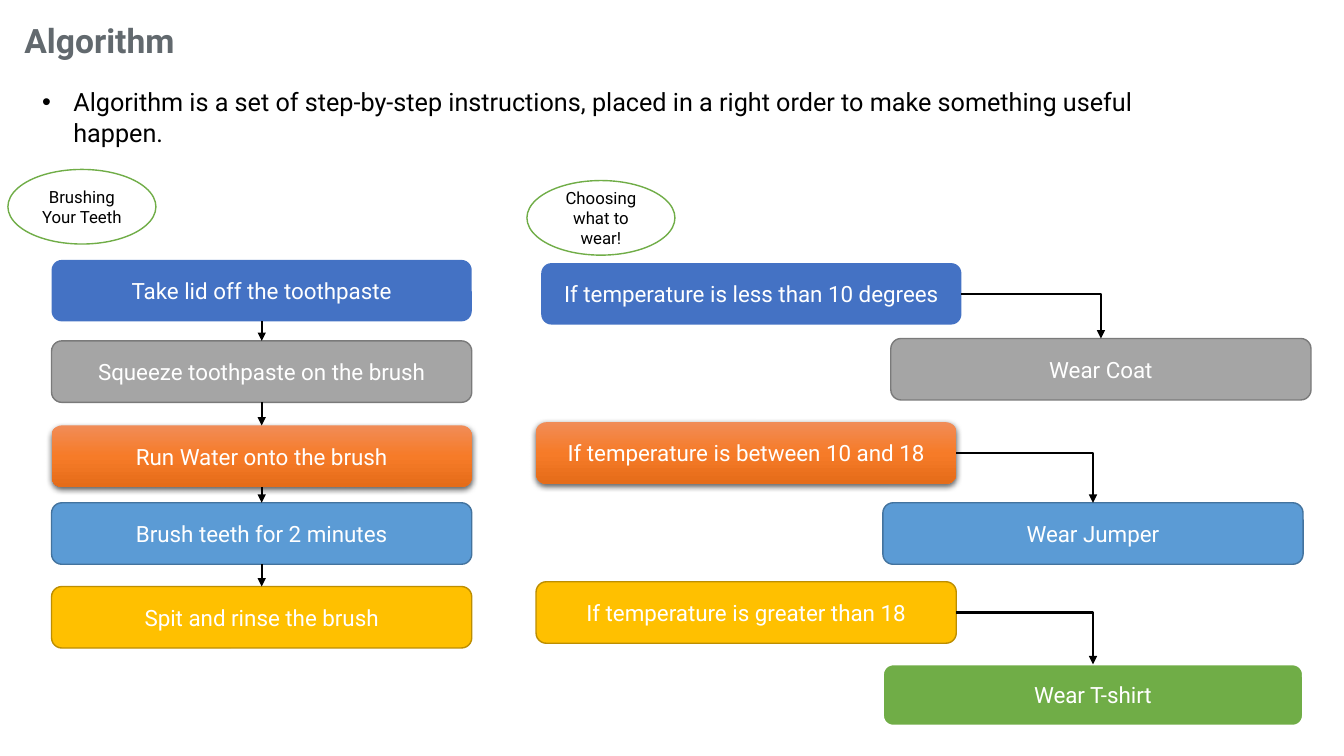
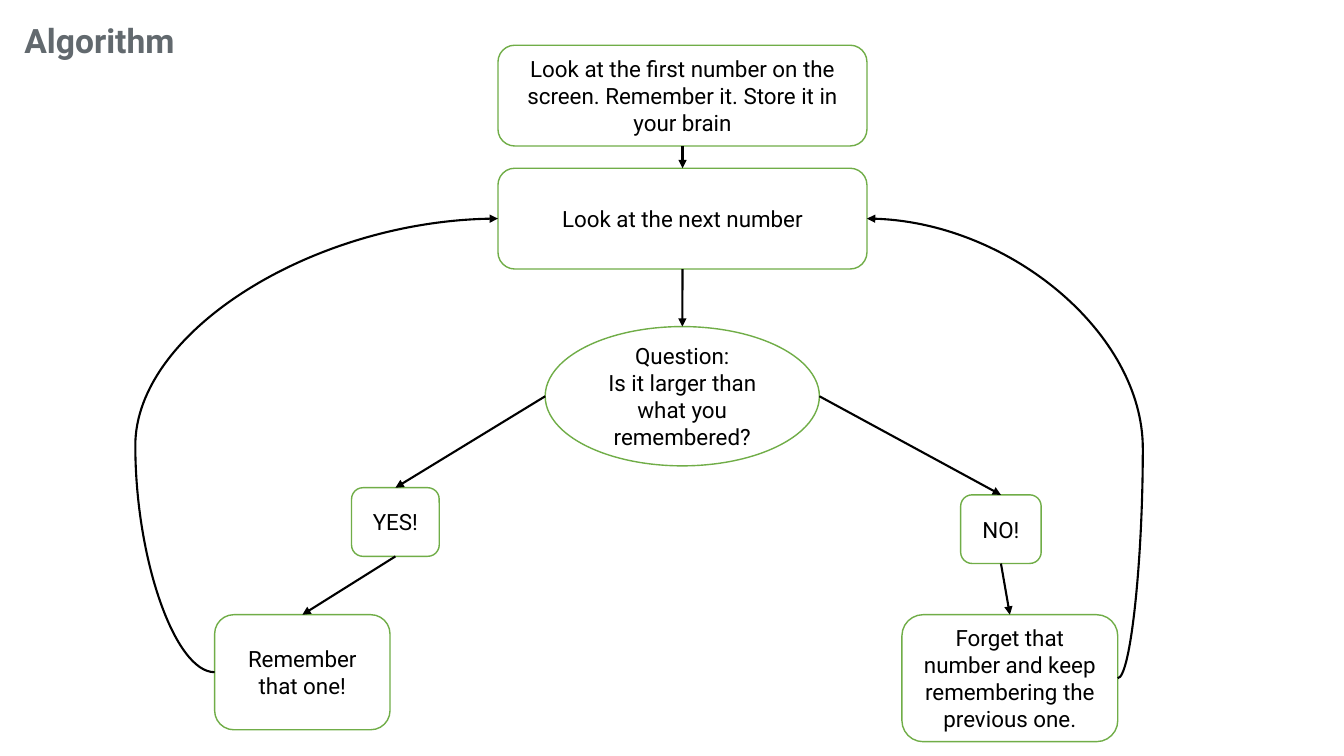
from copy import deepcopy

from lxml import etree
from pptx import Presentation
from pptx.dml.color import RGBColor
from pptx.enum.shapes import MSO_CONNECTOR, MSO_SHAPE
from pptx.enum.text import MSO_ANCHOR, MSO_AUTO_SIZE, PP_ALIGN
from pptx.oxml.ns import qn
from pptx.util import Cm, Pt

ROUND, OVAL = MSO_SHAPE.ROUNDED_RECTANGLE, MSO_SHAPE.OVAL
STRAIGHT, ELBOW, CURVE = MSO_CONNECTOR.STRAIGHT, MSO_CONNECTOR.ELBOW, MSO_CONNECTOR.CURVE
LEFT, CENTER = PP_ALIGN.LEFT, PP_ALIGN.CENTER
TOP, MIDDLE = MSO_ANCHOR.TOP, MSO_ANCHOR.MIDDLE
NO_FIT = MSO_AUTO_SIZE.NONE

FONT = "Roboto"
BLACK, WHITE, TITLE_GREY, GREEN = "000000", "FFFFFF", "62696E", "70AD47"
BLUE = {"fill": "4472C4"}
GREY = {"fill": "A5A5A5", "line": "7A7A7A"}
ORANGE = {"fill": ("F18C57", "F67B28", "E56C19"), "shadow": True}
SKY = {"fill": "5B9BD5", "line": "43739E"}
YELLOW = {"fill": "FFC000", "line": "BD8E00"}
LEAF = {"fill": GREEN, "line": WHITE, "line_width": 1.5}
OUTLINE = {"fill": WHITE, "line": GREEN, "color": BLACK}

SIDES = {"top": (0, 0.5, 0), "left": (1, 0, 0.5), "bottom": (2, 0.5, 1), "right": (3, 1, 0.5)}
STEP_WIDTH, STEP_HEIGHT = 10.59, 1.55


def rgb(value):
    return RGBColor.from_string(value)


def write(tf, text, size=16, color=BLACK, bold=False, align=LEFT, anchor=TOP):
    tf.word_wrap = True
    tf.auto_size = NO_FIT
    tf.vertical_anchor = anchor
    for i, line in enumerate(text.split("\n")):
        p = tf.add_paragraph() if i else tf.paragraphs[0]
        p.alignment = align
        r = p.add_run()
        r.text = line
        r.font.name = FONT
        r.font.size = Pt(size)
        r.font.bold = bold
        r.font.color.rgb = rgb(color)


def add_child(parent, tag, **attributes):
    child = etree.SubElement(parent, qn(tag))
    for name, value in attributes.items():
        child.set(name, str(value))
    return child


def fill_gradient(sp, colors):
    sp.fill.gradient()
    sp.fill.gradient_angle = 270
    stops = sp.element.spPr.find(".//" + qn("a:gsLst"))
    stops.append(deepcopy(stops[0]))
    for i, (stop, color) in enumerate(zip(sp.fill.gradient_stops, colors)):
        stop.color.rgb = rgb(color)
        stop.position = i / (len(colors) - 1)


def add_shadow(sp):
    effects = sp.element.spPr.find(qn("a:effectLst"))
    shadow = add_child(effects, "a:outerShdw", blurRad=Pt(4.5), dist=Pt(1.5),
                       dir=5400000, algn="ctr", rotWithShape=0)
    color = add_child(shadow, "a:srgbClr", val=BLACK)
    add_child(color, "a:alpha", val=63000)


def site(sp, side):
    index, fx, fy = SIDES[side]
    if sp.auto_shape_type == OVAL:
        index *= 2
    return index, sp.left + round(sp.width * fx), sp.top + round(sp.height * fy)


class Deck:
    def __init__(self):
        self.prs = Presentation()
        self.prs.slide_width, self.prs.slide_height = Cm(33.87), Cm(19.05)
        self.s = None

    def slide(self, title):
        self.s = self.prs.slides.add_slide(self.prs.slide_layouts[5])
        sp = self.s.shapes.title
        sp.left, sp.top, sp.width, sp.height = Cm(0.36), Cm(0.38), Cm(12.29), Cm(1.27)
        write(sp.text_frame, title, size=24, color=TITLE_GREY, bold=True)

    def bullet(self, text, x, y, w, h):
        tf = self.s.shapes.add_textbox(Cm(x), Cm(y), Cm(w), Cm(h)).text_frame
        write(tf, text, size=18)
        pPr = tf.paragraphs[0]._p.get_or_add_pPr()
        pPr.set("marL", str(Cm(0.79)))
        pPr.set("indent", str(-Cm(0.79)))
        add_child(pPr, "a:buFont", typeface="Arial")
        add_child(pPr, "a:buChar", char="•")

    def box(self, text, x, y, w=STEP_WIDTH, h=STEP_HEIGHT, kind=ROUND, fill=WHITE, line=None,
            line_width=1, shadow=False, color=WHITE, size=16):
        sp = self.s.shapes.add_shape(kind, Cm(x), Cm(y), Cm(w), Cm(h))
        if isinstance(fill, tuple):
            fill_gradient(sp, fill)
        else:
            sp.fill.solid()
            sp.fill.fore_color.rgb = rgb(fill)
        if line:
            sp.line.color.rgb = rgb(line)
            sp.line.width = Pt(line_width)
        else:
            sp.line.fill.background()
        sp.shadow.inherit = False
        if shadow:
            add_shadow(sp)
        write(sp.text_frame, text, size=size, color=color, align=CENTER, anchor=MIDDLE)
        return sp

    def arrow(self, start, start_side, end, end_side, kind=STRAIGHT, bend=None):
        c = self.s.shapes.add_connector(kind, 0, 0, 0, 0)
        c.begin_connect(start, 0)
        c.end_connect(end, 0)
        ends = c.element.nvCxnSpPr.cNvCxnSpPr
        ends.stCxn.idx, c.begin_x, c.begin_y = site(start, start_side)
        ends.endCxn.idx, c.end_x, c.end_y = site(end, end_side)
        c.line.color.rgb = rgb(BLACK)
        c.line.width = Pt(1.5)
        spPr = c.element.spPr
        add_child(spPr.find(qn("a:ln")), "a:tailEnd", type="triangle")
        add_child(spPr, "a:effectLst")
        geometry = spPr.find(qn("a:prstGeom"))
        if kind == ELBOW:
            geometry.set("prst", "bentConnector2")
        if bend is not None:
            guides = geometry.find(qn("a:avLst"))
            add_child(guides, "a:gd", name="adj1", fmla=f"val {round(bend * 100000)}")


def everyday_algorithms(deck):
    deck.slide("Algorithm")
    deck.bullet("Algorithm is a set of step-by-step instructions, placed in a right order "
                "to make something useful happen.", 0.81, 2.06, 29.34, 1.78)

    steps = [
        ("Take lid off the toothpaste", 6.55, BLUE),
        ("Squeeze toothpaste on the brush", 8.59, GREY),
        ("Run Water onto the brush", 10.72, ORANGE),
        ("Brush teeth for 2 minutes", 12.67, SKY),
        ("Spit and rinse the brush", 14.78, YELLOW),
    ]
    boxes = [deck.box(text, 1.3, y, **style) for text, y, style in steps]
    for upper, lower in zip(boxes, boxes[1:]):
        deck.arrow(upper, "bottom", lower, "top")

    choices = [
        ("If temperature is less than 10 degrees", 13.64, 6.63, BLUE,
         "Wear Coat", 22.45, 8.53, GREY),
        ("If temperature is between 10 and 18", 13.51, 10.64, ORANGE,
         "Wear Jumper", 22.25, 12.67, SKY),
        ("If temperature is greater than 18", 13.51, 14.66, YELLOW,
         "Wear T-shirt", 22.25, 16.74, LEAF),
    ]
    for test, test_x, test_y, test_style, wear, wear_x, wear_y, wear_style in choices:
        condition = deck.box(test, test_x, test_y, **test_style)
        outcome = deck.box(wear, wear_x, wear_y, **wear_style)
        deck.arrow(condition, "right", outcome, "top", kind=ELBOW)

    for text, x, y in [("Brushing Your Teeth", 0.2, 4.27), ("Choosing what to wear!", 13.28, 4.55)]:
        deck.box(text, x, y, 3.73, 1.88, kind=OVAL, size=12, **OUTLINE)


def largest_number(deck):
    deck.slide("Algorithm")
    first = deck.box("Look at the first number on the screen. Remember it. Store it in your brain",
                     12.55, 1.14, 9.3, 2.54, **OUTLINE)
    following = deck.box("Look at the next number", 12.55, 4.24, 9.3, 2.54, **OUTLINE)
    question = deck.box("Question:\nIs it larger than what you remembered?",
                        13.74, 8.23, 6.91, 3.51, kind=OVAL, **OUTLINE)
    yes = deck.box("YES!", 8.86, 12.29, 2.21, 1.73, **OUTLINE)
    no = deck.box("NO!", 24.21, 12.47, 2.03, 1.73, **OUTLINE)
    forget = deck.box("Forget that number and keep remembering the previous one.",
                      22.73, 15.49, 5.44, 3.2, **OUTLINE)
    remember = deck.box("Remember that one!", 5.41, 15.49, 4.42, 2.9, **OUTLINE)

    deck.arrow(first, "bottom", following, "top")
    deck.arrow(following, "bottom", question, "top")
    for side, answer, action, bend in [("left", yes, remember, -0.28), ("right", no, forget, -0.1)]:
        deck.arrow(question, side, answer, "top")
        deck.arrow(answer, "bottom", action, "top")
        deck.arrow(action, side, following, side, kind=CURVE, bend=bend)


def main():
    deck = Deck()
    everyday_algorithms(deck)
    largest_number(deck)
    deck.prs.save("out.pptx")


if __name__ == "__main__":
    main()
